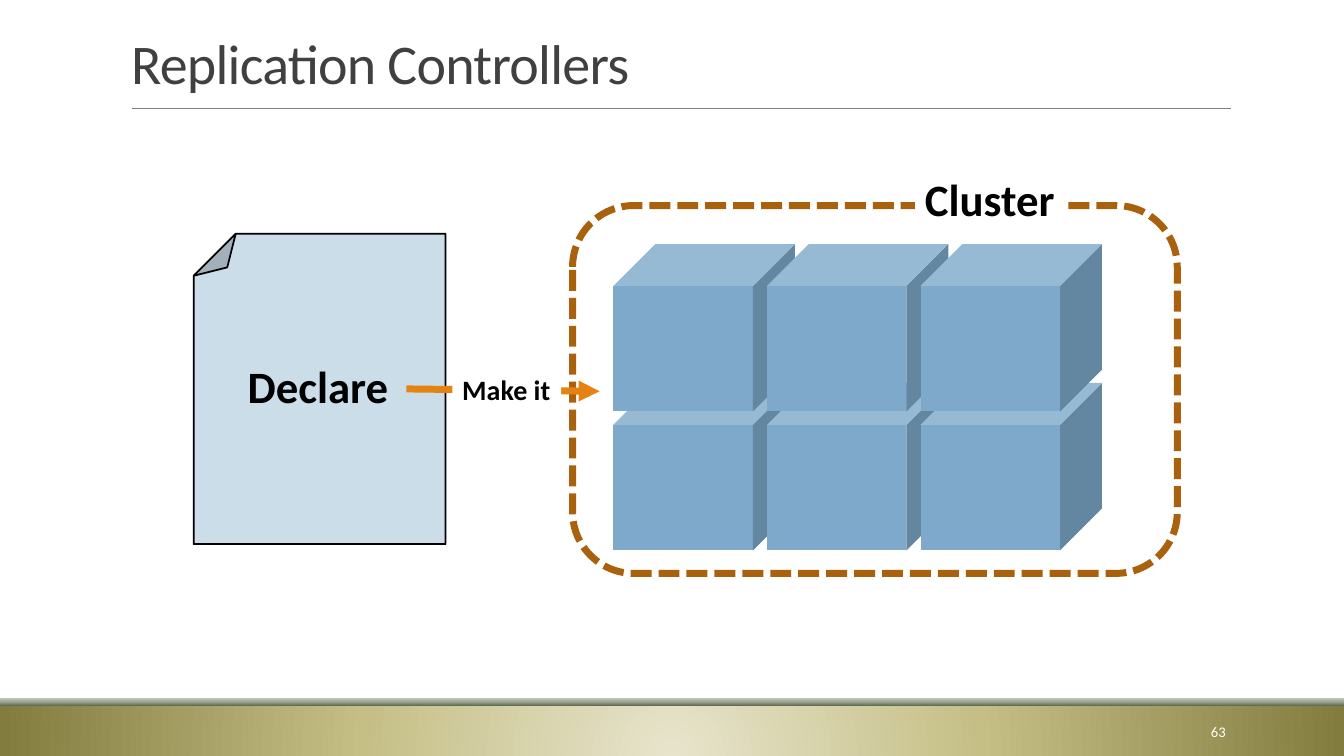
from itertools import product
from lxml.etree import SubElement
from pptx import Presentation
from pptx.dml.color import RGBColor
from pptx.enum.dml import MSO_LINE
from pptx.enum.shapes import MSO_CONNECTOR, MSO_SHAPE
from pptx.enum.text import MSO_ANCHOR, MSO_AUTO_SIZE, PP_ALIGN
from pptx.oxml import parse_xml
from pptx.oxml.ns import nsdecls, qn
from pptx.util import Cm, Pt

BLACK = RGBColor(0x00, 0x00, 0x00)
WHITE = RGBColor(0xFF, 0xFF, 0xFF)
DARK = RGBColor(0x40, 0x40, 0x40)
GRAY = RGBColor(0x80, 0x80, 0x80)
PALE = RGBColor(0xCC, 0xDD, 0xEA)
BLUE = RGBColor(0x7E, 0xA9, 0xCA)
BROWN = RGBColor(0xA9, 0x61, 0x0D)
ORANGE = RGBColor(0xE4, 0x83, 0x12)
GOLD = [(0, RGBColor(0xE7, 0xE4, 0xCC)), (46, RGBColor(0xC5, 0xBF, 0x86)),
        (100, RGBColor(0x83, 0x7C, 0x3F))]
SAGE = [(0, RGBColor(0x63, 0x6E, 0x58)), (48, RGBColor(0x97, 0xA3, 0x8C)),
        (100, RGBColor(0xBF, 0xC6, 0xB8))]
RADIAL = ('<a:path path="circle"><a:fillToRect l="50000" t="130000" '
          'r="50000" b="-30000"/></a:path>')
UPWARD = '<a:lin ang="16200000" scaled="0"/>'


def write(shape, text, size=32, color=BLACK, font="Calibri", bold=False,
          align=PP_ALIGN.LEFT, anchor=MSO_ANCHOR.TOP, wrap=False,
          leading=None, track=None):
    """Put formatted text into a shape."""
    frame = shape.text_frame
    frame.auto_size = MSO_AUTO_SIZE.NONE
    frame.word_wrap = wrap
    frame.vertical_anchor = anchor
    para = frame.paragraphs[0]
    para.alignment = align
    if leading:
        para.line_spacing = leading
    run = para.add_run()
    run.text = text
    run.font.name = font
    run.font.size = Pt(size)
    run.font.bold = bold
    run.font.color.rgb = color
    if track:
        run.font._element.set("spc", str(track))


class Deck:
    """Hold the style and the current slide."""

    def __init__(self, width, height):
        """Start a deck with one title-only slide."""
        self.show = Presentation()
        self.show.slide_width = Cm(width)
        self.show.slide_height = Cm(height)
        self.slide = self.show.slides.add_slide(self.show.slide_layouts[5])

    def title(self, text, box, **style):
        """Move and fill the title placeholder."""
        head = self.slide.shapes.title
        head.left, head.top, head.width, head.height = map(Cm, box)
        write(head, text, **style)

    def label(self, text, box, **style):
        """Add a text box."""
        write(self.slide.shapes.add_textbox(*map(Cm, box)), text, **style)

    def shape(self, kind, box, fill=None, line=None, weight=1, dash=None):
        """Add a preset shape."""
        item = self.slide.shapes.add_shape(kind, *map(Cm, box))
        item.shadow.inherit = False
        if fill is None:
            item.fill.background()
        else:
            item.fill.solid()
            item.fill.fore_color.rgb = fill
        if line is None:
            item.line.fill.background()
        else:
            item.line.color.rgb = line
            item.line.width = Pt(weight)
            item.line.dash_style = dash
        return item

    def band(self, box, stops, course):
        """Add a full-width gradient band."""
        item = self.shape(MSO_SHAPE.RECTANGLE, box, WHITE)
        marks = "".join(f'<a:gs pos="{pos * 1000}"><a:srgbClr val="{tint}"/></a:gs>'
                        for pos, tint in stops)
        grad = parse_xml(f'<a:gradFill {nsdecls("a")} rotWithShape="1">'
                         f'<a:gsLst>{marks}</a:gsLst>{course}</a:gradFill>')
        props = item._element.spPr
        props.replace(props.find(qn("a:solidFill")), grad)

    def line(self, ends, color, weight, arrow=False):
        """Add a straight line, with an arrowhead on request."""
        item = self.slide.shapes.add_connector(MSO_CONNECTOR.STRAIGHT, *map(Cm, ends))
        item.line.color.rgb = color
        item.line.width = Pt(weight)
        if arrow:
            SubElement(item.line._get_or_add_ln(), qn("a:tailEnd"), type="triangle")
        SubElement(item._element.spPr, qn("a:effectLst"))


def main():
    """Build the slide and save it."""
    deck = Deck(33.87, 19.05)
    deck.band((0, 17.78, 33.87, 1.27), GOLD, RADIAL)
    deck.band((0, 17.6, 33.87, 0.18), SAGE, UPWARD)
    deck.line((3.33, 2.74, 31.01, 2.74), GRAY, 0.5)
    deck.title("Replication Controllers", (3.05, 0.79, 27.94, 1.75), size=40,
               color=DARK, anchor=MSO_ANCHOR.BOTTOM, wrap=True,
               leading=0.85, track=-50)
    deck.label("63", (27.51, 17.93, 3.63, 1.02), size=10.5, color=WHITE,
               align=PP_ALIGN.RIGHT, anchor=MSO_ANCHOR.MIDDLE, wrap=True)

    page = deck.shape(MSO_SHAPE.FOLDED_CORNER, (4.88, 5.89, 6.35, 7.82),
                      PALE, BLACK, 1.25)
    page.rotation = 180
    deck.label("Declare", (5.99, 8.92, 4.09, 1.63), bold=True)

    deck.shape(MSO_SHAPE.ROUNDED_RECTANGLE, (14.43, 5.18, 15.24, 9.27),
               line=BROWN, weight=5, dash=MSO_LINE.SQUARE_DOT)
    for top, col in product((9.65, 6.15), range(3)):
        deck.shape(MSO_SHAPE.CUBE, (15.46 + 3.87 * col, top, 4.57, 4.22), BLUE)
    name = deck.shape(MSO_SHAPE.RECTANGLE, (23.06, 4.19, 3.81, 1.63), WHITE)
    write(name, "Cluster", bold=True)

    deck.line((10.24, 9.8, 15.11, 9.86), ORANGE, 5, arrow=True)
    step = deck.shape(MSO_SHAPE.RECTANGLE, (11.4, 9.27, 2.74, 1.12), WHITE)
    write(step, "Make it", size=20, bold=True)
    deck.show.save("out.pptx")


if __name__ == "__main__":
    main()
